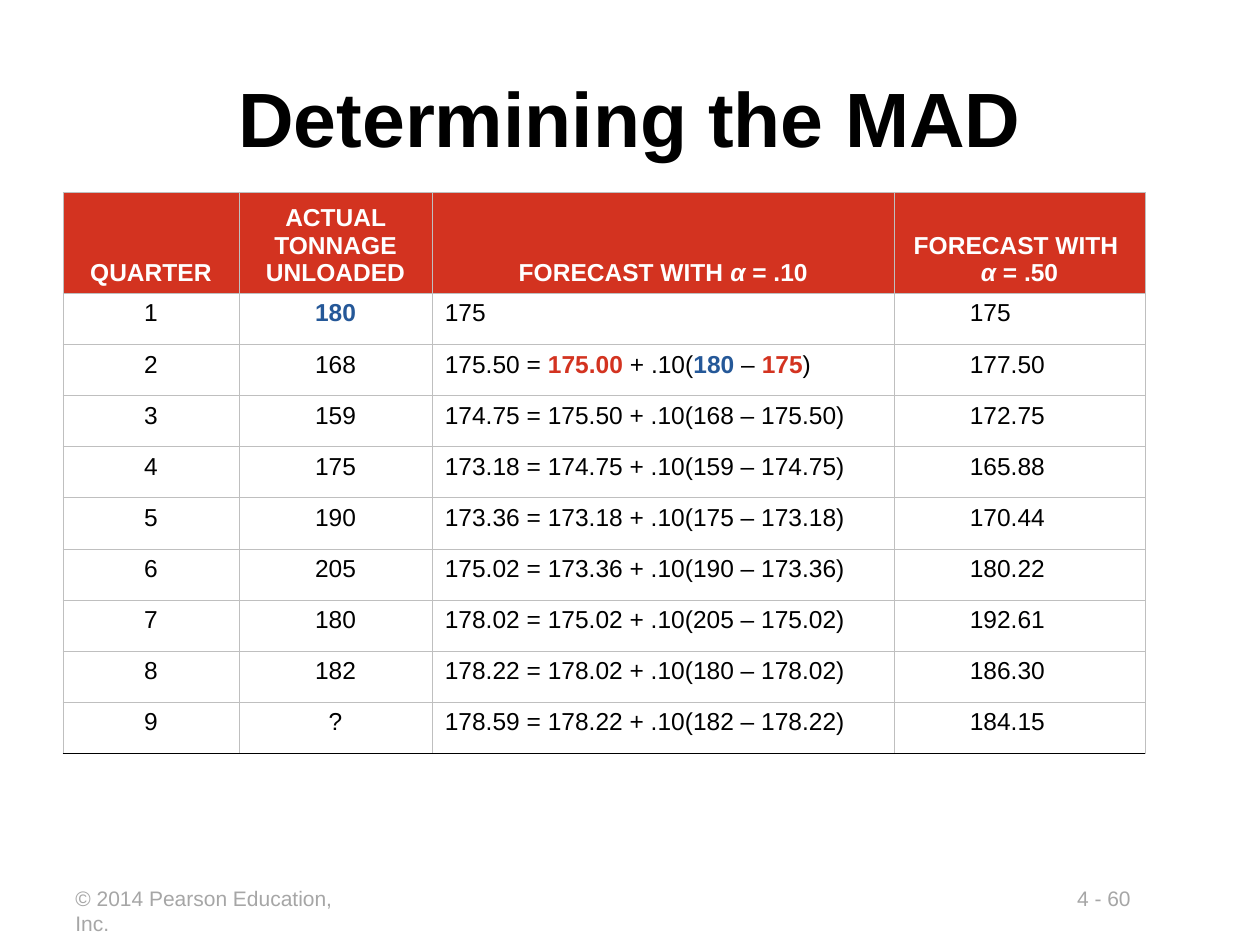
import pptx
import pptx.dml.color
import pptx.enum.text
import pptx.oxml
import pptx.oxml.ns
import pptx.util

Pt = pptx.util.Pt
RGBColor = pptx.dml.color.RGBColor
ALIGN = pptx.enum.text.PP_ALIGN
ANCHOR = pptx.enum.text.MSO_ANCHOR

BLACK = RGBColor(0x00, 0x00, 0x00)
WHITE = RGBColor(0xFF, 0xFF, 0xFF)
RED = RGBColor(0xD3, 0x33, 0x20)
BLUE = RGBColor(0x25, 0x58, 0x98)
GREY = RGBColor(0xA6, 0xA6, 0xA6)
RULE = RGBColor(0xBF, 0xBF, 0xBF)

TITLE = {"name": "Arial", "size": Pt(44), "bold": True, "color": BLACK}
FOOTER = {"name": "Arial", "size": Pt(12), "bold": False, "color": GREY}
BODY = {"name": "Arial", "size": Pt(14), "bold": False, "color": BLACK}
HEAD = {**BODY, "bold": True, "color": WHITE}
ALPHA = {**HEAD, "italic": True}
ACTUAL = {**BODY, "bold": True, "color": BLUE}
FORECAST = {**BODY, "bold": True, "color": RED}

COLUMN_WIDTHS = [100.5, 110.5, 264, 143.25]
COLUMN_ALIGNS = [ALIGN.CENTER, ALIGN.CENTER, ALIGN.LEFT, ALIGN.LEFT]
HEAD_HEIGHT = 57.5
TAB_STOP = 36

HEADERS = [
    [[("QUARTER", HEAD)]],
    [[("ACTUAL TONNAGE UNLOADED", HEAD)]],
    [[("FORECAST WITH ", HEAD), ("α", ALPHA), (" = .10", HEAD)]],
    [[("FORECAST WITH ", HEAD)], [("α", ALPHA), (" = .50", HEAD)]],
]
FIRST_SMOOTHING = [
    ("175.50 = ", BODY), ("175.00", FORECAST), (" + .10(", BODY),
    ("180", ACTUAL), (" – ", BODY), ("175", FORECAST), (")", BODY),
]
QUARTERS = [
    ([("180", ACTUAL)], "175", "175"),
    ("168", FIRST_SMOOTHING, "177.50"),
    ("159", "174.75 = 175.50 + .10(168 – 175.50)", "172.75"),
    ("175", "173.18 = 174.75 + .10(159 – 174.75)", "165.88"),
    ("190", "173.36 = 173.18 + .10(175 – 173.18)", "170.44"),
    ("205", "175.02 = 173.36 + .10(190 – 173.36)", "180.22"),
    ("180", "178.02 = 175.02 + .10(205 – 175.02)", "192.61"),
    ("182", "178.22 = 178.02 + .10(180 – 178.02)", "186.30"),
    ("?", "178.59 = 178.22 + .10(182 – 178.22)", "184.15"),
]


def add_runs(p, runs):
    for text, style in runs:
        r = p.add_run()
        r.text = text
        for key, value in style.items():
            if key == "color":
                r.font.color.rgb = value
            else:
                setattr(r.font, key, value)


def fill_paragraphs(tf, paragraphs, align):
    for i, runs in enumerate(paragraphs):
        p = tf.paragraphs[0] if i == 0 else tf.add_paragraph()
        p.alignment = align
        if runs[0][0].startswith("\t"):
            p._p.get_or_add_pPr().append(pptx.oxml.parse_xml(
                f'<a:tabLst {pptx.oxml.ns.nsdecls("a")}>'
                f'<a:tab pos="{Pt(TAB_STOP)}" algn="l"/></a:tabLst>'))
        add_runs(p, runs)


def set_borders(cell, bottom):
    tcPr = cell._tc.get_or_add_tcPr()
    for side, color in {"L": RULE, "R": RULE, "T": RULE, "B": bottom}.items():
        tcPr.append(pptx.oxml.parse_xml(
            f'<a:ln{side} {pptx.oxml.ns.nsdecls("a")} w="{Pt(0.45)}">'
            f'<a:solidFill><a:srgbClr val="{color}"/></a:solidFill></a:ln{side}>'))


def add_title(s, box, text):
    sp = s.shapes.title
    for key, value in zip(("left", "top", "width", "height"), box):
        setattr(sp, key, Pt(value))
    tf = sp.text_frame
    tf.auto_size = pptx.enum.text.MSO_AUTO_SIZE.NONE
    tf.vertical_anchor = ANCHOR.MIDDLE
    fill_paragraphs(tf, [[(text, TITLE)]], ALIGN.CENTER)


def add_footer(s, box, text):
    tf = s.shapes.add_textbox(*map(Pt, box)).text_frame
    tf.word_wrap = False
    fill_paragraphs(tf, [[(text, FOOTER)]], ALIGN.LEFT)


def body_cells(quarter, row):
    actual, smoothing, half = row
    values = [str(quarter), actual, smoothing, "\t" + half]
    return [[[(v, BODY)] if isinstance(v, str) else v] for v in values]


def add_forecast_table(s, box):
    rows = [HEADERS] + [body_cells(q, row) for q, row in enumerate(QUARTERS, 1)]
    tbl = s.shapes.add_table(len(rows), len(COLUMN_WIDTHS), *map(Pt, box)).table
    tbl.first_row = tbl.horz_banding = False
    for column, width in zip(tbl.columns, COLUMN_WIDTHS):
        column.width = Pt(width)
    body_height = (box[3] - HEAD_HEIGHT) / len(QUARTERS)
    for i, row in enumerate(rows):
        is_head = i == 0
        tbl.rows[i].height = Pt(HEAD_HEIGHT if is_head else body_height)
        for j, paragraphs in enumerate(row):
            cell = tbl.cell(i, j)
            cell.vertical_anchor = ANCHOR.BOTTOM if is_head else ANCHOR.TOP
            set_borders(cell, BLACK if i == len(rows) - 1 else RULE)
            if is_head:
                cell.fill.solid()
                cell.fill.fore_color.rgb = RED
            else:
                cell.fill.background()
            align = ALIGN.CENTER if is_head else COLUMN_ALIGNS[j]
            fill_paragraphs(cell.text_frame, paragraphs, align)


def main():
    prs = pptx.Presentation()
    prs.slide_width, prs.slide_height = Pt(720), Pt(540)
    s = prs.slides.add_slide(prs.slide_layouts[5])
    add_footer(s, (608.4, 502.6, 86.4, 21.6), "4 - 60")
    add_footer(s, (36, 502.6, 183.6, 21.6), "© 2014 Pearson Education, Inc.")
    add_title(s, (36, 21.6, 648, 90), "Determining the MAD")
    add_forecast_table(s, (36, 110, sum(COLUMN_WIDTHS), 320.5))
    prs.save("out.pptx")


if __name__ == "__main__":
    main()
